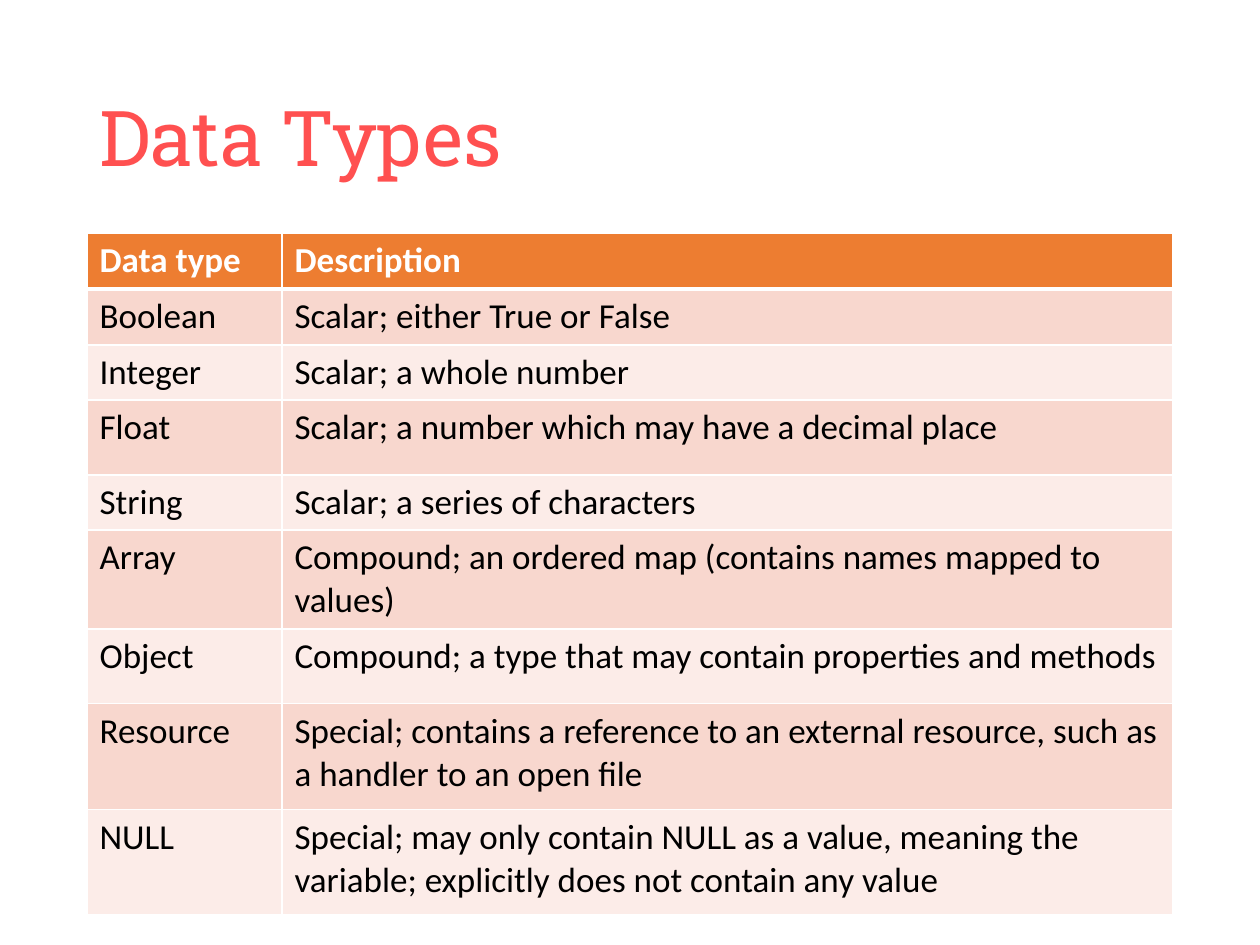
from lxml import etree
from pptx import Presentation
from pptx.dml.color import RGBColor
from pptx.enum.text import MSO_ANCHOR
from pptx.oxml.ns import qn
from pptx.util import Emu, Pt

MIDDLE = MSO_ANCHOR.MIDDLE
PX_PER_INCH = 126

CORAL = RGBColor(0xFF, 0x50, 0x50)
ORANGE = RGBColor(0xED, 0x7D, 0x31)
PEACH = RGBColor(0xF8, 0xD7, 0xCE)
PALE_PEACH = RGBColor(0xFC, 0xEC, 0xE8)
WHITE = RGBColor(0xFF, 0xFF, 0xFF)
BLACK = RGBColor(0x00, 0x00, 0x00)

HEADER = ("Data type", "Description")
DATA_TYPES = [
    ("Boolean", "Scalar; either True or False"),
    ("Integer", "Scalar; a whole number"),
    ("Float", "Scalar; a number which may have a decimal place"),
    ("String", "Scalar; a series of characters"),
    ("Array", "Compound; an ordered map (contains names mapped to values)"),
    ("Object", "Compound; a type that may contain properties and methods"),
    ("Resource", "Special; contains a reference to an external resource, "
                 "such as a handler to an open file"),
    ("NULL", "Special; may only contain NULL as a value, meaning the "
             "variable; explicitly does not contain any value"),
]
COLUMN_WIDTHS = [195, 891]
ROW_HEIGHTS = [56, 56, 55, 75, 55, 99, 75, 106, 105]


def px(n):
    return Emu(round(n * 914400 / PX_PER_INCH))


class SlideBuilder:
    title_font = "Roboto Slab"
    body_font = "Calibri"

    def __init__(self, slide):
        self.slide = slide

    def set_font(self, p, name, size, color, bold=False):
        p.font.name = name
        p.font.size = Pt(size)
        p.font.color.rgb = color
        p.font.bold = bold

    def title(self, text, x, y, w, h):
        tf = self.slide.shapes.add_textbox(px(x), px(y), px(w), px(h)).text_frame
        tf.word_wrap = True
        tf.vertical_anchor = MIDDLE
        p = tf.paragraphs[0]
        p.text = text
        p.line_spacing = 0.9
        self.set_font(p, self.title_font, 44, CORAL)

    def borders(self, cell, color, bottom):
        """Draw 1 pt lines round a cell, with its own width at the bottom."""
        tc_pr = cell._tc.get_or_add_tcPr()
        widths = {"lnL": 1, "lnR": 1, "lnT": 1, "lnB": bottom}
        # The schema wants the lines ahead of the fill.
        for i, (tag, width) in enumerate(widths.items()):
            ln = etree.Element(qn(f"a:{tag}"), w=str(Pt(width)))
            fill = etree.SubElement(ln, qn("a:solidFill"))
            etree.SubElement(fill, qn("a:srgbClr"), val=str(color))
            tc_pr.insert(i, ln)

    def cell(self, cell, text, fill, color, bold, bottom):
        cell.fill.solid()
        cell.fill.fore_color.rgb = fill
        p = cell.text_frame.paragraphs[0]
        p.text = text
        self.set_font(p, self.body_font, 20, color, bold)
        self.borders(cell, WHITE, bottom)

    def table(self, rows, x, y, widths, heights):
        """Add a table with a header row and banded body rows."""
        table = self.slide.shapes.add_table(
            len(rows), len(widths), px(x), px(y),
            px(sum(widths)), px(sum(heights))).table
        for column, width in zip(table.columns, widths):
            column.width = px(width)
        for i, (values, height) in enumerate(zip(rows, heights)):
            table.rows[i].height = px(height)
            if i == 0:
                style = (ORANGE, WHITE, True, 3)
            else:
                style = (PEACH if i % 2 else PALE_PEACH, BLACK, False, 1)
            for j, text in enumerate(values):
                self.cell(table.cell(i, j), text, *style)
            if i == 1:
                for cell in table.rows[i].cells:
                    cell._tc.tcPr.find(qn("a:lnT")).set("w", str(Pt(3)))


def main():
    prs = Presentation()
    prs.slide_width, prs.slide_height = px(1260), px(945)
    s = SlideBuilder(prs.slides.add_slide(prs.slide_layouts[6]))
    s.title("Data Types", 87, 50, 1086, 183)
    s.table([HEADER, *DATA_TYPES], 87, 233, COLUMN_WIDTHS, ROW_HEIGHTS)
    prs.save("out.pptx")


if __name__ == "__main__":
    main()
